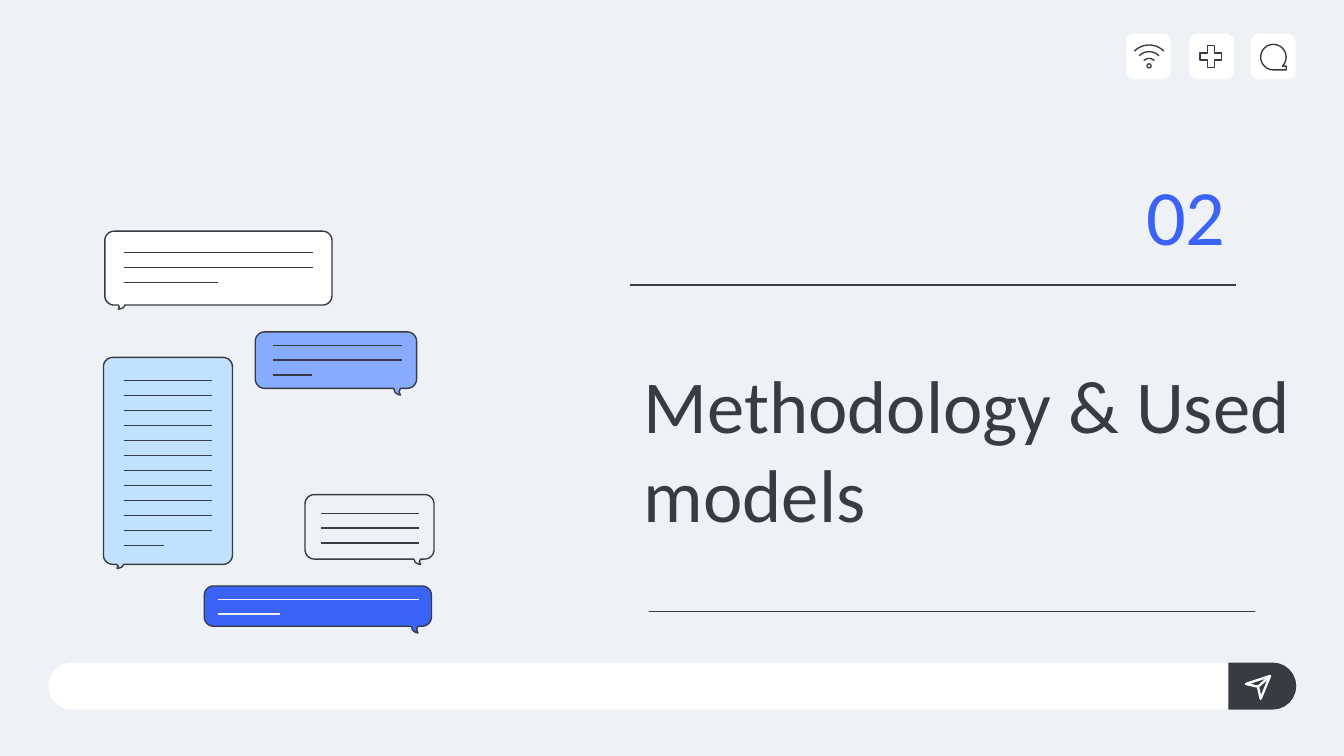
"""Builds the section slide with chat bubbles, a toolbar and a message bar."""
import math

from lxml import etree
from pptx import Presentation
from pptx import util as u
from pptx.dml.color import RGBColor
from pptx.enum import shapes, text
from pptx.oxml import ns

COLORS = {
    "background": "EEF1F5",
    "ink": "373B42",
    "white": "FFFFFF",
    "blue": "3B63F8",
    "mid_blue": "87ABFF",
    "light_blue": "C0E1FF",
}
PRESET = shapes.MSO_SHAPE
SLIDE_WIDTH = 10
CORNER = 0.07


def color(name):
    """Return the named colour."""
    return RGBColor.from_string(COLORS[name])


def style(shape, fill=None, line=None, width=0.75):
    """Set fill and outline, leaving out whichever is not named."""
    shape.shadow.inherit = False
    if fill:
        shape.fill.solid()
        shape.fill.fore_color.rgb = color(fill)
    else:
        shape.fill.background()
    if line:
        shape.line.color.rgb = color(line)
        shape.line.width = u.Pt(width)
    else:
        shape.line.fill.background()


def add_preset(slide, kind, box, adjustment=None, **look):
    """Add a preset shape at left, top, width, height in inches."""
    shape = slide.shapes.add_shape(kind, *map(u.Inches, box))
    if adjustment is not None:
        shape.adjustments[0] = adjustment
    style(shape, **look)


def add_outline(slide, points, **look):
    """Add a closed freeform through points in inches."""
    corners = [(u.Inches(x), u.Inches(y)) for x, y in points]
    builder = slide.shapes.build_freeform(*corners[0])
    builder.add_line_segments(corners[1:], close=True)
    style(builder.convert_to_shape(), **look)


def add_line(slide, start, end, line="ink", width=0.75):
    """Add a straight line between two points in inches."""
    connector = slide.shapes.add_connector(
        shapes.MSO_CONNECTOR.STRAIGHT, *map(u.Inches, (*start, *end)))
    connector.line.color.rgb = color(line)
    connector.line.width = u.Pt(width)
    etree.SubElement(connector._element.spPr, ns.qn("a:effectLst"))


def arc(center_x, center_y, radius, start, end, steps=12):
    """Return points on an arc, with angles in degrees clockwise from the right."""
    angles = [math.radians(start + (end - start) * i / steps) for i in range(steps + 1)]
    return [(center_x + radius * math.cos(a), center_y + radius * math.sin(a))
            for a in angles]


def add_bubble(slide, box, fill, tail_on_left, tail_depth, tail_gap=0.1):
    """Add a rounded speech bubble at left, top, right, bottom with a small tail."""
    left, top, right, bottom = box
    inner_left, inner_right = left + CORNER, right - CORNER
    inner_top, inner_bottom = top + CORNER, bottom - CORNER
    tail = [(0.05, 0), (0.04, 0.6), (0.02, 0.9), (0, 1), (0.01, 0.5), (0, 0)]
    if tail_on_left:
        tail = [(left + tail_gap + x, bottom + y * tail_depth) for x, y in tail]
    else:
        tail = [(right - tail_gap - x, bottom + y * tail_depth) for x, y in reversed(tail)]
    points = (arc(inner_left, inner_top, CORNER, 180, 270)
              + arc(inner_right, inner_top, CORNER, 270, 360)
              + arc(inner_right, inner_bottom, CORNER, 0, 90)
              + tail
              + arc(inner_left, inner_bottom, CORNER, 90, 180))
    add_outline(slide, points, fill=fill, line="ink")


def add_message(slide, left, right, last_right, top, bottom, count, line="ink"):
    """Add evenly spaced lines, the last one ending at last_right."""
    step = (bottom - top) / (count - 1)
    for i in range(count):
        y = top + i * step
        end = last_right if i == count - 1 else right
        add_line(slide, (left, y), (end, y), line)


def add_toolbar(slide):
    """Add the three icon tiles at the top right."""
    for left in (8.38, 8.85, 9.31):
        add_preset(slide, PRESET.ROUNDED_RECTANGLE, (left, 0.25, 0.33, 0.34), 0.167,
                   fill="white")
    add_preset(slide, PRESET.MATH_PLUS, (8.9, 0.31, 0.22, 0.22), 0.235, line="ink")
    add_preset(slide, PRESET.FLOWCHART_SEQUENTIAL_ACCESS_STORAGE,
               (9.38, 0.33, 0.19, 0.19), line="ink")
    for radius in (0.16, 0.11, 0.06):
        band = (arc(8.55, 0.49, radius, 225, 315)
                + arc(8.55, 0.49, radius - 0.01, 315, 225))
        add_outline(slide, band, fill="ink")
    add_preset(slide, PRESET.DONUT, (8.53, 0.47, 0.04, 0.04), 0.25, fill="ink")


def add_message_bar(slide):
    """Add the input bar with its send button."""
    top, height = 4.93, 0.35
    radius = height / 2
    add_preset(slide, PRESET.ROUNDED_RECTANGLE, (0.36, top, 9.29, height), 0.5, fill="white")
    button = ([(9.14, top + height), (9.14, top)]
              + arc(9.47, top + radius, radius, -90, 90))
    add_outline(slide, button, fill="ink")
    tip, fold = (9.45, 5.03), (9.36, 5.11)
    add_outline(slide, [(9.27, 5.09), tip, (9.38, 5.2), fold], line="white", width=1.25)
    add_line(slide, fold, tip, "white", 1.25)


def add_chat(slide):
    """Add the five bubbles and their lines."""
    add_bubble(slide, (0.78, 1.72, 2.47, 2.27), "white", True, 0.03)
    add_message(slide, 0.92, 2.33, 1.62, 1.88, 2.1, 3)
    add_bubble(slide, (0.77, 2.66, 1.73, 4.2), "light_blue", True, 0.03)
    add_message(slide, 0.92, 1.58, 1.22, 2.83, 4.06, 12)
    add_bubble(slide, (1.52, 4.36, 3.21, 4.66), "blue", False, 0.05)
    add_message(slide, 1.62, 3.12, 2.08, 4.46, 4.57, 2, "background")
    add_bubble(slide, (2.27, 3.68, 3.23, 4.16), "background", False, 0.04)
    add_message(slide, 2.39, 3.12, 3.12, 3.82, 4.04, 3)
    add_bubble(slide, (1.9, 2.47, 3.1, 2.89), "mid_blue", False, 0.05, 0.12)
    add_message(slide, 2.03, 2.99, 2.32, 2.57, 2.79, 3)


def fill_placeholder(shape, box, words, size, ink, anchor, alignment):
    """Move a placeholder and give it one formatted run."""
    shape.left, shape.top, shape.width, shape.height = map(u.Inches, box)
    frame = shape.text_frame
    frame.word_wrap = True
    frame.auto_size = text.MSO_AUTO_SIZE.NONE
    frame.vertical_anchor = anchor
    frame.margin_left = frame.margin_right = u.Inches(0.1)
    frame.margin_top = frame.margin_bottom = u.Inches(0.1)
    paragraph = frame.paragraphs[0]
    paragraph.alignment = alignment
    paragraph.space_before = u.Pt(0)
    run = paragraph.add_run()
    run.text = words
    run.font.name = "Calibri"
    run.font.size = u.Pt(size)
    run.font.color.rgb = color(ink)


def main():
    """Build and save the slide."""
    presentation = Presentation()
    presentation.slide_width = u.Inches(SLIDE_WIDTH)
    presentation.slide_height = u.Inches(SLIDE_WIDTH * 9 / 16)
    slide = presentation.slides.add_slide(presentation.slide_layouts[0])
    slide.background.fill.solid()
    slide.background.fill.fore_color.rgb = color("background")
    add_toolbar(slide)
    add_message_bar(slide)
    fill_placeholder(slide.shapes.title, (4.69, 2.77, 5.31, 1.13),
                     "Methodology & Used models", 40, "ink",
                     text.MSO_ANCHOR.MIDDLE, text.PP_ALIGN.LEFT)
    fill_placeholder(slide.placeholders[1], (7.87, 1.12, 1.35, 0.92), "02", 42, "blue",
                     text.MSO_ANCHOR.BOTTOM, text.PP_ALIGN.RIGHT)
    add_chat(slide)
    add_line(slide, (4.83, 4.55), (9.34, 4.55))
    add_line(slide, (4.69, 2.12), (9.2, 2.12))
    presentation.save("out.pptx")


if __name__ == "__main__":
    main()
